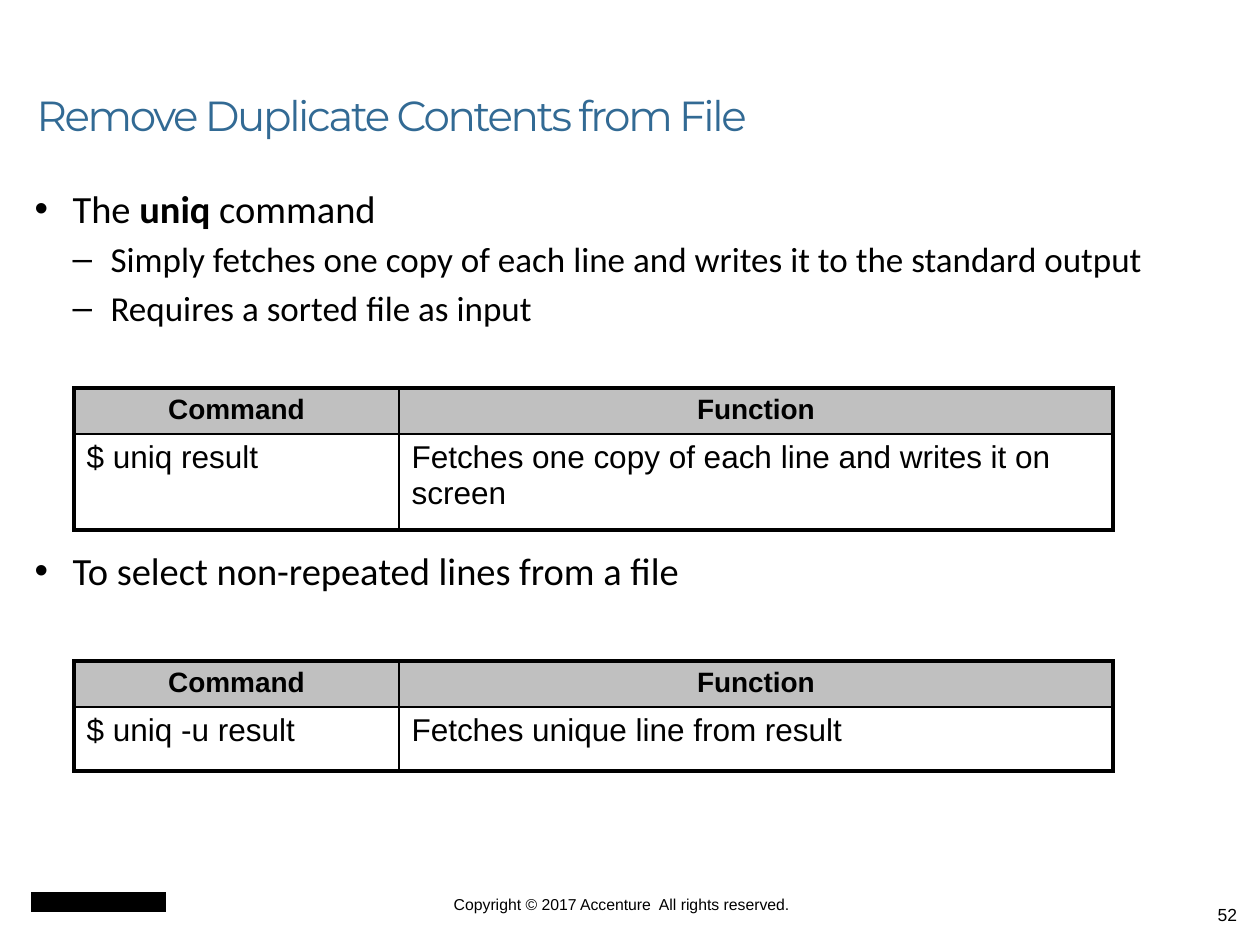
import pptx
import pptx.util
import pptx.dml.color
import pptx.enum.shapes
import pptx.enum.text
from pptx.oxml.ns import qn
from lxml import etree

PX = 914400 / 126
BLACK = pptx.dml.color.RGBColor(0x00, 0x00, 0x00)
BLUE = pptx.dml.color.RGBColor(0x32, 0x6A, 0x94)
GREY = pptx.dml.color.RGBColor(0xC0, 0xC0, 0xC0)
ALIGN = pptx.enum.text.PP_ALIGN
ANCHOR = pptx.enum.text.MSO_ANCHOR
THICK, THIN = 2.25, 1
INDENT = 38


def emu(px):
    return pptx.util.Emu(round(px * PX))


def place(shape, left, top, width, height):
    shape.left, shape.top = emu(left), emu(top)
    shape.width, shape.height = emu(width), emu(height)


def style(para, size, face="Arial", color=BLACK, bold=False):
    for run in para.runs:
        font = run.font
        font.size, font.name, font.bold = pptx.util.Pt(size), face, bold
        font.color.rgb = color


def add_title(slide, text):
    title = slide.shapes.title
    place(title, 24, 21, 1124, 126)
    frame = title.text_frame
    frame.text = text
    frame.vertical_anchor = ANCHOR.BOTTOM
    frame.auto_size = pptx.enum.text.MSO_AUTO_SIZE.NONE
    para = frame.paragraphs[0]
    para.alignment, para.line_spacing = ALIGN.LEFT, 0.9
    style(para, 24, "Montserrat", BLUE)
    para.runs[0].font._element.set("spc", "-133")


def add_list(slide, items):
    """Each item is text parts, level and space before in points."""
    body = slide.placeholders[1]
    place(body, 22, 179, 1174, 662)
    frame = body.text_frame
    frame.auto_size = pptx.enum.text.MSO_AUTO_SIZE.NONE
    for i, (parts, level, space) in enumerate(items):
        para = frame.add_paragraph() if i else frame.paragraphs[0]
        para.level, para.space_before = level, pptx.util.Pt(space)
        props = para._p.get_or_add_pPr()
        props.set("marL", str(emu(INDENT * (level + 1))))
        props.set("indent", str(emu(-INDENT)))
        for part in parts:
            para.add_run().text = part
        style(para, 20 if level else 22, "Calibri")
        # The middle part of a split item is the command name
        if len(parts) == 3:
            para.runs[1].font.bold = True


def add_line(cell, side, width):
    props = cell._tc.get_or_add_tcPr()
    line = etree.SubElement(props, qn("a:ln" + side), w=str(pptx.util.Pt(width)))
    fill = etree.SubElement(line, qn("a:solidFill"))
    etree.SubElement(fill, qn("a:srgbClr"), val=str(BLACK))


def add_table(slide, top, heights, rows):
    widths = (325, 714)
    table = slide.shapes.add_table(len(rows), len(widths), emu(74), emu(top),
                                   emu(sum(widths)), emu(sum(heights))).table
    table.first_row = table.horz_banding = False
    for col, width in zip(table.columns, widths):
        col.width = emu(width)
    for r, (texts, height) in enumerate(zip(rows, heights)):
        table.rows[r].height = emu(height)
        for c, text in enumerate(texts):
            cell = table.cell(r, c)
            cell.text = text
            # Thick frame, thin inner lines
            outer = {"L": c == 0, "R": c == len(widths) - 1,
                     "T": r == 0, "B": r == len(rows) - 1}
            for side, edge in outer.items():
                add_line(cell, side, THICK if edge else THIN)
            para = cell.text_frame.paragraphs[0]
            if r == 0:
                cell.fill.solid()
                cell.fill.fore_color.rgb = GREY
                para.alignment = ALIGN.CENTER
                style(para, 16, bold=True)
            else:
                cell.fill.background()
                style(para, 18)


def add_text(slide, box, text, size, align, inset):
    frame = slide.shapes.add_textbox(*map(emu, box)).text_frame
    frame.word_wrap = True
    frame.margin_left = frame.margin_right = emu(inset[0])
    frame.margin_top, frame.margin_bottom = emu(inset[1]), emu(inset[2])
    frame.text = text
    frame.paragraphs[0].alignment = align
    style(frame.paragraphs[0], size)


def add_block(slide, box):
    shape = slide.shapes.add_shape(
        pptx.enum.shapes.MSO_SHAPE.RECTANGLE, *map(emu, box))
    shape.shadow.inherit = False
    shape.fill.solid()
    shape.fill.fore_color.rgb = BLACK
    shape.line.fill.background()


def main():
    deck = pptx.Presentation()
    deck.slide_width, deck.slide_height = emu(1260), emu(945)
    slide = deck.slides.add_slide(deck.slide_layouts[1])

    # Title and list; the last item leaves room for the first table
    add_title(slide, "Remove Duplicate Contents from File")
    add_list(slide, [
        (["The ", "uniq", " command"], 0, 0),
        (["Simply fetches one copy of each line and writes it to the standard output"], 1, 3.5),
        (["Requires a sorted file as input"], 1, 4),
        (["To select non-repeated lines from a file"], 0, 125),
    ])

    # Command tables
    head = ("Command", "Function")
    add_table(slide, 388, (46, 96), [
        head, ("$ uniq result", "Fetches one copy of each line and writes it on screen")])
    add_table(slide, 661, (46, 64), [
        head, ("$ uniq -u result", "Fetches unique line from result")])

    # Footer
    add_block(slide, (31, 892, 135, 20))
    add_text(slide, (347, 895, 549, 19),
             "Copyright © 2017 Accenture  All rights reserved.", 9, ALIGN.CENTER, (0, 0, 0))
    add_text(slide, (956, 880, 294, 65), "52", 10, ALIGN.RIGHT, (13, 32, 6))

    deck.save("out.pptx")


if __name__ == "__main__":
    main()
